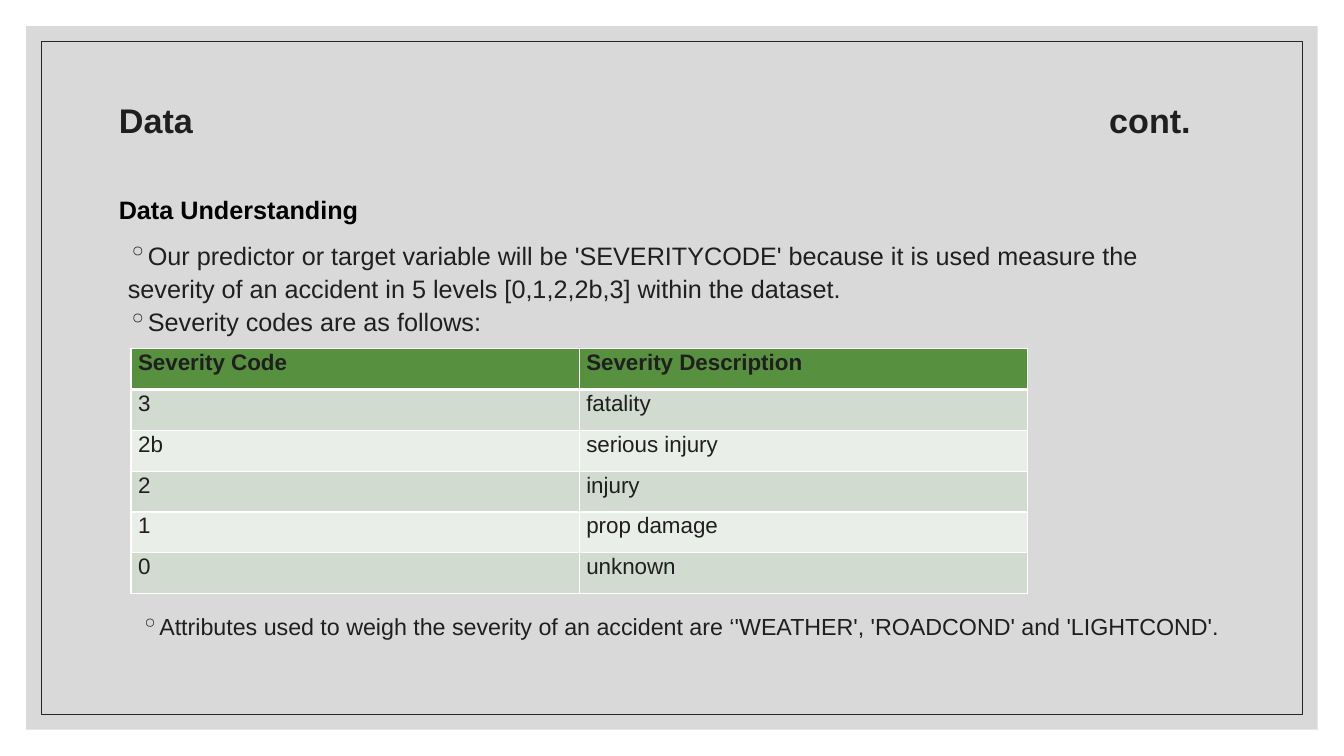
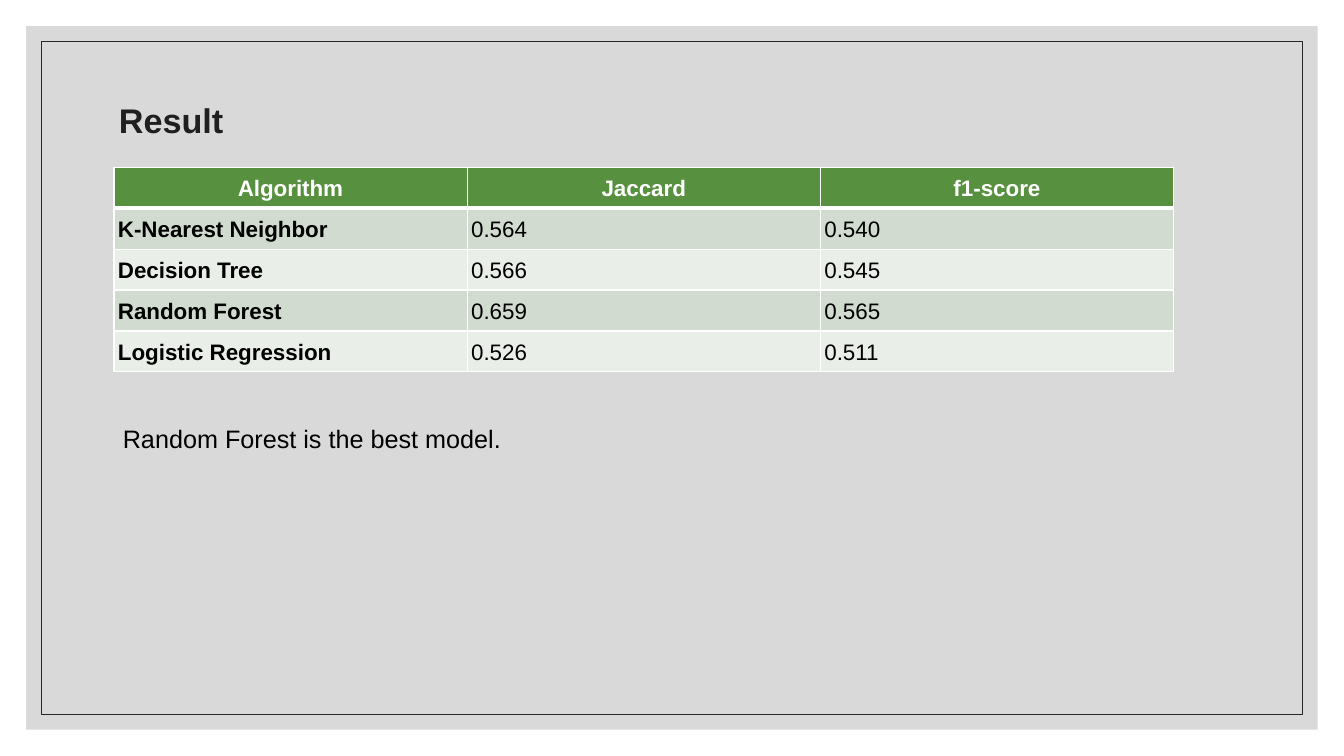
from lxml import etree
from pptx import Presentation
from pptx.dml.color import RGBColor
from pptx.enum import shapes, text
from pptx.oxml import ns
from pptx.util import Inches, Pt

FONT = "Arial"
BLACK, WHITE, INK, LINE = "000000", "FFFFFF", "1F1F1F", "262626"
PANEL, GREEN = "D9D9D9", "57903F"
BANDS = "D1DBCF", "EAEEE8"
LEFT, MID = text.PP_ALIGN.LEFT, text.MSO_ANCHOR.MIDDLE

SEVERITY = [
    ("Severity Code", "Severity Description"),
    ("3", "fatality"),
    ("2b", "serious injury"),
    ("2", "injury"),
    ("1", "prop damage"),
    ("0", "unknown"),
]
SCORES = [
    ("Algorithm", "Jaccard", "f1-score"),
    ("K-Nearest Neighbor", "0.564", "0.540"),
    ("Decision Tree", "0.566", "0.545"),
    ("Random Forest", "0.659", "0.565"),
    ("Logistic Regression", "0.526", "0.511"),
]


def rgb(code):
    return RGBColor.from_string(code)


def sub(node, tag, **attrs):
    return etree.SubElement(node, ns.qn(tag), attrs)


def style(par, size, color=INK, bold=False, align=LEFT, gap=1.0):
    par.alignment, par.line_spacing = align, gap
    font = par.font
    font.name, font.size, font.bold = FONT, Pt(size), bold
    font.color.rgb = rgb(color)


# Shared frame and title
def frame(layout, slide):
    """Draw the panel and its thin border, and move them into the layout."""
    tree = layout.shapes.element
    for i, (inset, fill) in enumerate([(0.26, PANEL), (0.41, None)]):
        box = slide.shapes.add_shape(
            shapes.MSO_SHAPE.RECTANGLE, Inches(inset), Inches(inset),
            Inches(13.33 - 2 * inset), Inches(7.5 - 2 * inset))
        box.shadow.inherit = False
        if fill:
            box.fill.solid()
            box.fill.fore_color.rgb = rgb(fill)
            box.line.fill.background()
        else:
            box.fill.background()
            box.line.color.rgb = rgb(LINE)
            box.line.width = Pt(0.5)
        box.element.nvSpPr.cNvPr.set("id", str(20 + i))
        tree.insert(2 + i, box.element)


def title(slide, words):
    head = slide.shapes.title
    head.left, head.top = Inches(1.08), Inches(0.72)
    head.width, head.height = Inches(11.09), Inches(0.98)
    body = head.text_frame
    body.text = words
    body.vertical_anchor = MID
    body.auto_size = text.MSO_AUTO_SIZE.NONE
    style(body.paragraphs[0], 24.4, bold=True, gap=0.9)
    return body.paragraphs[0]


def right_tab(par, pos):
    tabs = sub(par._p.get_or_add_pPr(), "a:tabLst")
    sub(tabs, "a:tab", pos=str(Inches(pos)), algn="r")


# Text
def bullet(par):
    props = par._p.get_or_add_pPr()
    props.set("marL", "0")
    props.set("indent", str(Inches(-0.2)))
    mark = etree.Element(ns.qn("a:buClr"))
    sub(mark, "a:srgbClr", val=LINE)
    char = etree.Element(ns.qn("a:buChar"), char="◦")
    # Bullets stand before the default run properties
    spot = props.find(ns.qn("a:defRPr"))
    for node in (mark, char):
        spot.addprevious(node)


def note(slide, at, lines, size=18, marks=False, before=0, **look):
    box = slide.shapes.add_textbox(*map(Inches, at))
    body = box.text_frame
    body.word_wrap = True
    for i, line in enumerate(lines):
        par = body.add_paragraph() if i else body.paragraphs[0]
        par.text = line
        style(par, size, **look)
        par.space_before = Pt(before)
        if marks:
            bullet(par)


# Tables
def border(cell, row):
    """White edges, with a heavy rule under the header row."""
    heavy = {0: "B", 1: "T"}.get(row)
    props = cell._tc.get_or_add_tcPr()
    for i, side in enumerate("LRTB"):
        edge = etree.Element(ns.qn("a:ln" + side))
        edge.set("w", str(Pt(3 if side == heavy else 1)))
        sub(sub(edge, "a:solidFill"), "a:srgbClr", val=WHITE)
        props.insert(i, edge)


def grid(slide, at, rows, look, pad, anchor):
    """look(row, col) gives the text style of a cell; pad is (side, top)."""
    table = slide.shapes.add_table(
        len(rows), len(rows[0]), *map(Inches, at)).table
    for r, row in enumerate(rows):
        for c, words in enumerate(row):
            cell = table.cell(r, c)
            cell.text = words
            cell.vertical_anchor = anchor
            cell.margin_left = cell.margin_right = Inches(pad[0])
            cell.margin_top = cell.margin_bottom = Inches(pad[1])
            cell.fill.solid()
            cell.fill.fore_color.rgb = rgb(BANDS[(r - 1) % 2] if r else GREEN)
            border(cell, r)
            style(cell.text_frame.paragraphs[0], 16, gap=1.07, **look(r, c))


def code_look(row, col):
    return {"bold": row == 0}


def score_look(row, col):
    if row == 0:
        return {"color": WHITE, "bold": True, "align": text.PP_ALIGN.CENTER}
    return {"color": BLACK, "bold": col == 0}


# Slides
def data(slide):
    right_tab(title(slide, "Data\tcont."), 10.63)
    note(slide, (1.17, 2.3, 11, 1.11), [
        "Our predictor or target variable will be 'SEVERITYCODE' because it "
        "is used measure the severity of an accident in 5 levels "
        "[0,1,2,2b,3] within the dataset.",
        "Severity codes are as follows:"], marks=True, gap=1.1)
    note(slide, (1.08, 1.85, 7.21, 0.5), ["Data Understanding"],
         before=9, color=BLACK, bold=True, gap=1.1)
    grid(slide, (1.3, 3.46, 8.89, 2.43), SEVERITY, code_look,
         (0.07, 0), text.MSO_ANCHOR.TOP)
    note(slide, (1.3, 6.02, 11, 0.69), [
        "Attributes used to weigh the severity of an accident are "
        "‘'WEATHER', 'ROADCOND' and 'LIGHTCOND'."], size=16.6, marks=True)


def result(slide):
    title(slide, "Result")
    grid(slide, (1.13, 1.66, 10.51, 2.03), SCORES, score_look,
         (0.04, 0.04), MID)
    note(slide, (1.12, 4.12, 11, 0.42), ["Random Forest is the best model."],
         color=BLACK, gap=1.1)


def main():
    deck = Presentation()
    deck.slide_width, deck.slide_height = Inches(13.33), Inches(7.5)
    layout = deck.slide_layouts[5]
    first, second = (deck.slides.add_slide(layout) for _ in range(2))
    frame(layout, first)
    data(first)
    result(second)
    deck.save("out.pptx")


if __name__ == "__main__":
    main()
